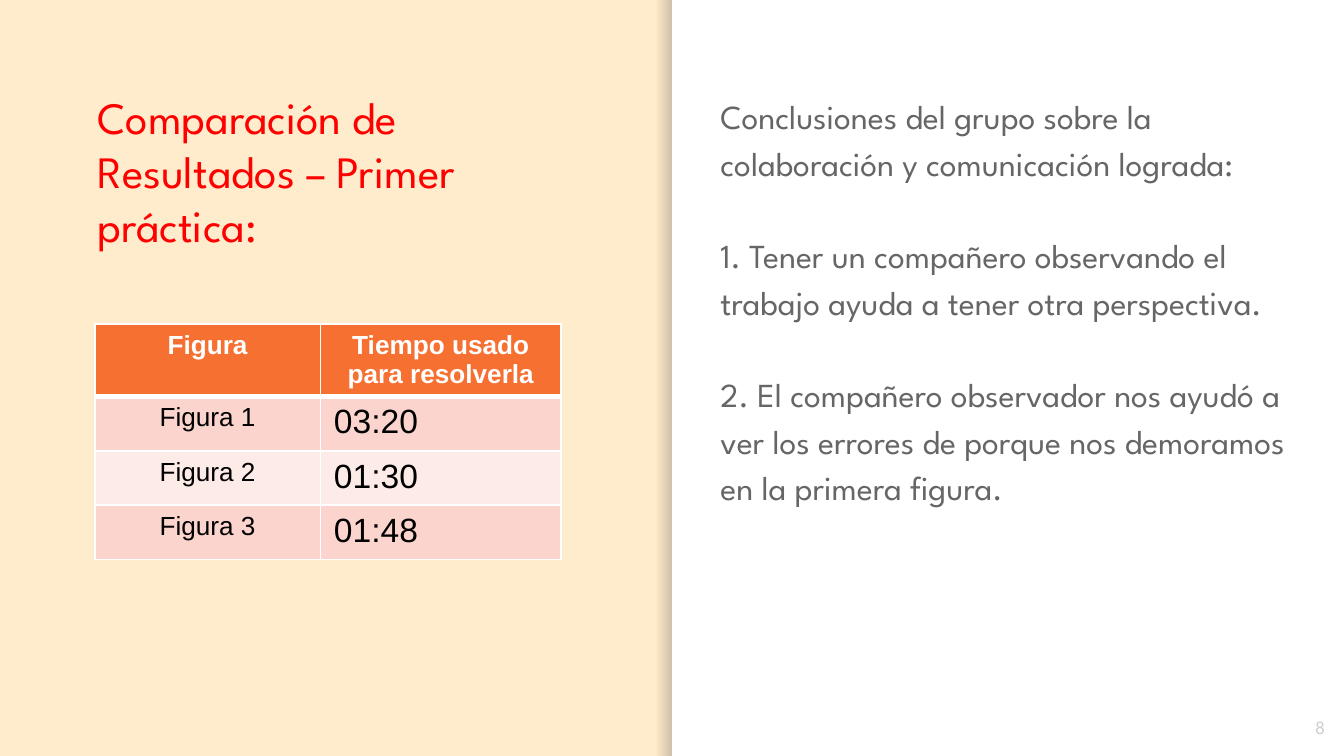
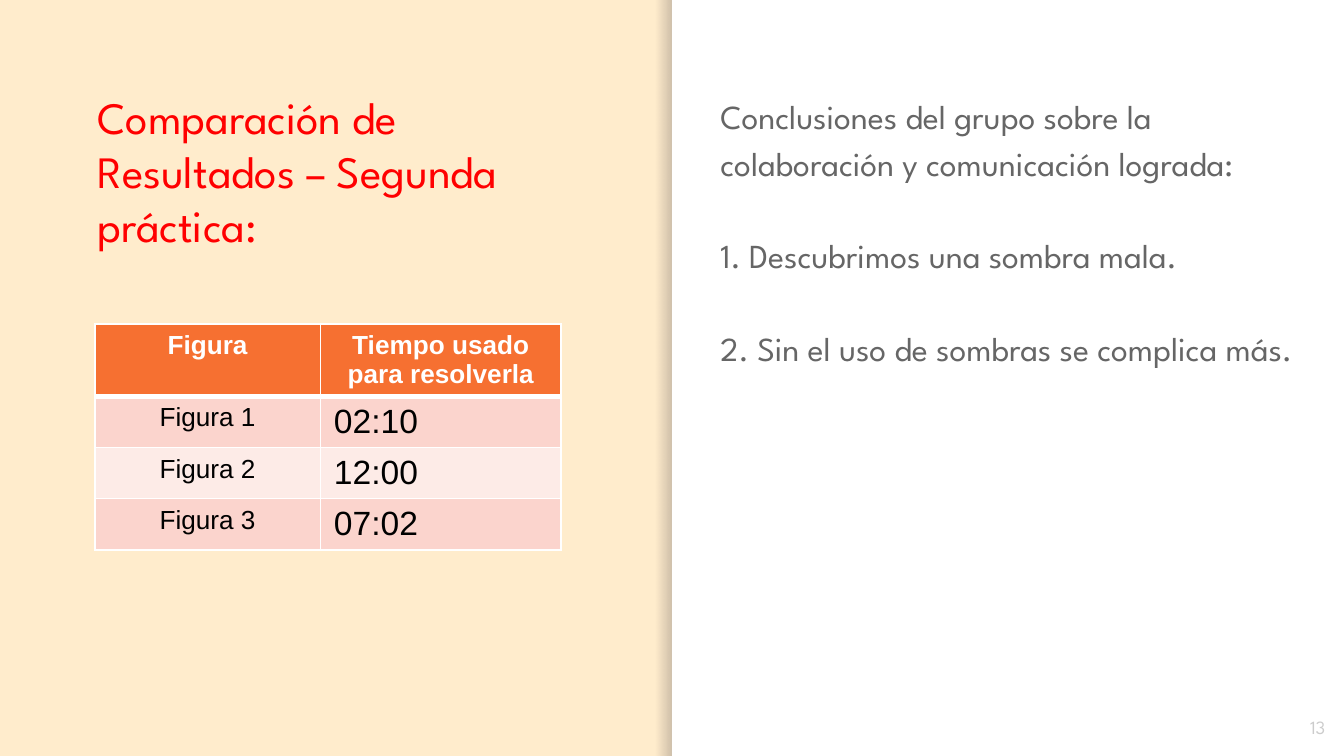
import dataclasses
import typing

import lxml.etree
import pptx
import pptx.dml.color
import pptx.enum.shapes
import pptx.enum.text
import pptx.oxml.ns
import pptx.util

ALIGN = pptx.enum.text.PP_ALIGN
ANCHOR = pptx.enum.text.MSO_ANCHOR
qn = pptx.oxml.ns.qn


@dataclasses.dataclass(frozen=True)
class TextStyle:
    font: str
    size: int
    color: str
    bold: bool = False
    align: ALIGN = ALIGN.LEFT


@dataclasses.dataclass(frozen=True)
class Theme:
    cream: str = "FFECCC"
    white: str = "FFFFFF"
    fold: str = "000014"
    header_fill: str = "F67031"
    row_fills: tuple[str, str] = ("FBD4CD", "FDEBE7")
    thin_border: float = 0.96
    thick_border: float = 3
    body_gap: float = 24.8
    title: TextStyle = TextStyle("League Spartan", 24, "FF0000")
    body: TextStyle = TextStyle("League Spartan", 18, "666666")
    number: TextStyle = TextStyle("League Spartan", 10, "CCCCCC", align=ALIGN.RIGHT)
    header: TextStyle = TextStyle("Arial", 14, "FFFFFF", True, ALIGN.CENTER)
    figure: TextStyle = TextStyle("Arial", 14, "000000", align=ALIGN.CENTER)
    time: TextStyle = TextStyle("Arial", 18, "000000")


class Area(typing.NamedTuple):
    column: float
    row: float
    columns: float
    rows: float


@dataclasses.dataclass(frozen=True)
class Practice:
    ordinal: str
    number: int
    times: tuple[str, ...]
    row_height: float
    conclusions: tuple[str, ...]


THEME = Theme()
GRID_COLUMNS, GRID_ROWS = 100, 56.25
RIGHT_PAGE = Area(50, 0, 50, GRID_ROWS)
FOLD = Area(48.75, 0, 1.25, GRID_ROWS)
TITLE = Area(6.25, 5.7, 35.5, 15.6)
BODY = Area(51.3, 5.7, 46.8, 43.7)
NUMBER = Area(93.6, 51.95, 6, 4.3)
TABLE_CORNER = (7.05, 24.1)
TABLE_COLUMNS = (16.8, 17.9)
HEADER_HEIGHT = 5.4

HEADINGS = ("Figura", "Tiempo usado para resolverla")
INTRO = "Conclusiones del grupo sobre la colaboración y comunicación lograda:"
PRACTICES = (
    Practice("Primer", 8, ("03:20", "01:30", "01:48"), 4.05, (
        "Tener un compañero observando el trabajo ayuda a tener otra perspectiva.",
        "El compañero observador nos ayudó a ver los errores de porque nos "
        "demoramos en la primera figura.")),
    Practice("Segunda", 13, ("02:10", "12:00", "07:02"), 3.8, (
        "Descubrimos una sombra mala.",
        "Sin el uso de sombras se complica más.")),
)


def units(count: float) -> int:
    return pptx.util.Inches(count / 10)


def rgb(color: str) -> pptx.dml.color.RGBColor:
    return pptx.dml.color.RGBColor.from_string(color)


def place(shape, area: Area) -> None:
    shape.left, shape.top, shape.width, shape.height = map(units, area)


def style_paragraph(paragraph, style: TextStyle) -> None:
    paragraph.alignment = style.align
    font = paragraph.font
    font.name, font.size, font.bold = style.font, pptx.util.Pt(style.size), style.bold
    font.color.rgb = rgb(style.color)


def write(frame, lines: typing.Sequence[str], style: TextStyle) -> None:
    for index, line in enumerate(lines):
        paragraph = frame.paragraphs[0] if index == 0 else frame.add_paragraph()
        paragraph.text = line
        style_paragraph(paragraph, style)


def prepare_frame(frame, anchor: ANCHOR) -> None:
    frame.word_wrap = True
    frame.auto_size = pptx.enum.text.MSO_AUTO_SIZE.NONE
    frame.vertical_anchor = anchor
    inset = units(1)
    frame.margin_left = frame.margin_right = inset
    frame.margin_top = frame.margin_bottom = inset


def add_band(slide, area: Area):
    band = slide.shapes.add_shape(
        pptx.enum.shapes.MSO_SHAPE.RECTANGLE, *map(units, area))
    band.shadow.inherit = False
    band.line.fill.background()
    return band


def decorate_layout(layout, slide) -> None:
    background = layout.background.fill
    background.solid()
    background.fore_color.rgb = rgb(THEME.cream)

    page = add_band(slide, RIGHT_PAGE)
    page.fill.solid()
    page.fill.fore_color.rgb = rgb(THEME.white)

    fold = add_band(slide, FOLD)
    fold.fill.gradient()
    fold.fill.gradient_angle = 0
    for stop in fold.fill.gradient_stops:
        stop.color.rgb = rgb(THEME.fold)
    for color, opacity in zip(fold.element.iter(qn("a:srgbClr")), (0, 20000)):
        lxml.etree.SubElement(color, qn("a:alpha"), val=str(opacity))

    for position, band in enumerate((page, fold), start=2):
        layout.element.cSld.spTree.insert(position, band.element)


def fill_title(slide, ordinal: str) -> None:
    title = slide.shapes.title
    place(title, TITLE)
    prepare_frame(title.text_frame, ANCHOR.TOP)
    write(title.text_frame,
          [f"Comparación de Resultados – {ordinal} práctica:"], THEME.title)


def fill_conclusions(slide, conclusions: tuple[str, ...]) -> None:
    body = slide.placeholders[1]
    place(body, BODY)
    prepare_frame(body.text_frame, ANCHOR.TOP)
    numbered = [f"{index}. {line}" for index, line in enumerate(conclusions, start=1)]
    write(body.text_frame, [INTRO, *numbered], THEME.body)
    for index, paragraph in enumerate(body.text_frame.paragraphs):
        paragraph.line_spacing = 1.15
        paragraph.space_before = pptx.util.Pt(THEME.body_gap if index else 0)
        properties = paragraph._p.get_or_add_pPr()
        properties.set("marL", str(units(1.3)))
        properties.set("indent", "0")
        lxml.etree.SubElement(properties, qn("a:buNone"))
        properties.append(properties.find(qn("a:defRPr")))


def add_number(slide, number: int) -> None:
    label = slide.shapes.add_textbox(*map(units, NUMBER))
    prepare_frame(label.text_frame, ANCHOR.MIDDLE)
    write(label.text_frame, [str(number)], THEME.number)


def set_borders(cell, top: float, bottom: float) -> None:
    properties = cell._tc.get_or_add_tcPr()
    thin = THEME.thin_border
    sides = (("L", thin), ("R", thin), ("T", top), ("B", bottom))
    for position, (side, width) in enumerate(sides):
        border = lxml.etree.Element(qn(f"a:ln{side}"), w=str(pptx.util.Pt(width)))
        paint = lxml.etree.SubElement(border, qn("a:solidFill"))
        lxml.etree.SubElement(paint, qn("a:srgbClr"), val=THEME.white)
        properties.insert(position, border)


def add_results(slide, practice: Practice) -> None:
    records = [HEADINGS] + [
        (f"Figura {index}", time) for index, time in enumerate(practice.times, start=1)]
    heights = [HEADER_HEIGHT] + [practice.row_height] * len(practice.times)
    area = Area(*TABLE_CORNER, sum(TABLE_COLUMNS), sum(heights))
    results = slide.shapes.add_table(
        len(records), len(HEADINGS), *map(units, area)).table
    for column, width in zip(results.columns, TABLE_COLUMNS):
        column.width = units(width)
    for row_index, (record, height) in enumerate(zip(records, heights)):
        results.rows[row_index].height = units(height)
        is_header = row_index == 0
        styles = (THEME.header,) * 2 if is_header else (THEME.figure, THEME.time)
        fill = THEME.header_fill if is_header else THEME.row_fills[(row_index - 1) % 2]
        for column_index, (text, style) in enumerate(zip(record, styles)):
            cell = results.cell(row_index, column_index)
            write(cell.text_frame, [text], style)
            cell.fill.solid()
            cell.fill.fore_color.rgb = rgb(fill)
            set_borders(
                cell,
                top=THEME.thick_border if row_index == 1 else THEME.thin_border,
                bottom=THEME.thick_border if is_header else THEME.thin_border)


def build() -> None:
    deck = pptx.Presentation()
    deck.slide_width, deck.slide_height = units(GRID_COLUMNS), units(GRID_ROWS)
    layout = deck.slide_layouts[1]
    for index, practice in enumerate(PRACTICES):
        slide = deck.slides.add_slide(layout)
        if index == 0:
            decorate_layout(layout, slide)
        add_number(slide, practice.number)
        fill_conclusions(slide, practice.conclusions)
        fill_title(slide, practice.ordinal)
        add_results(slide, practice)
    deck.save("out.pptx")


build()
